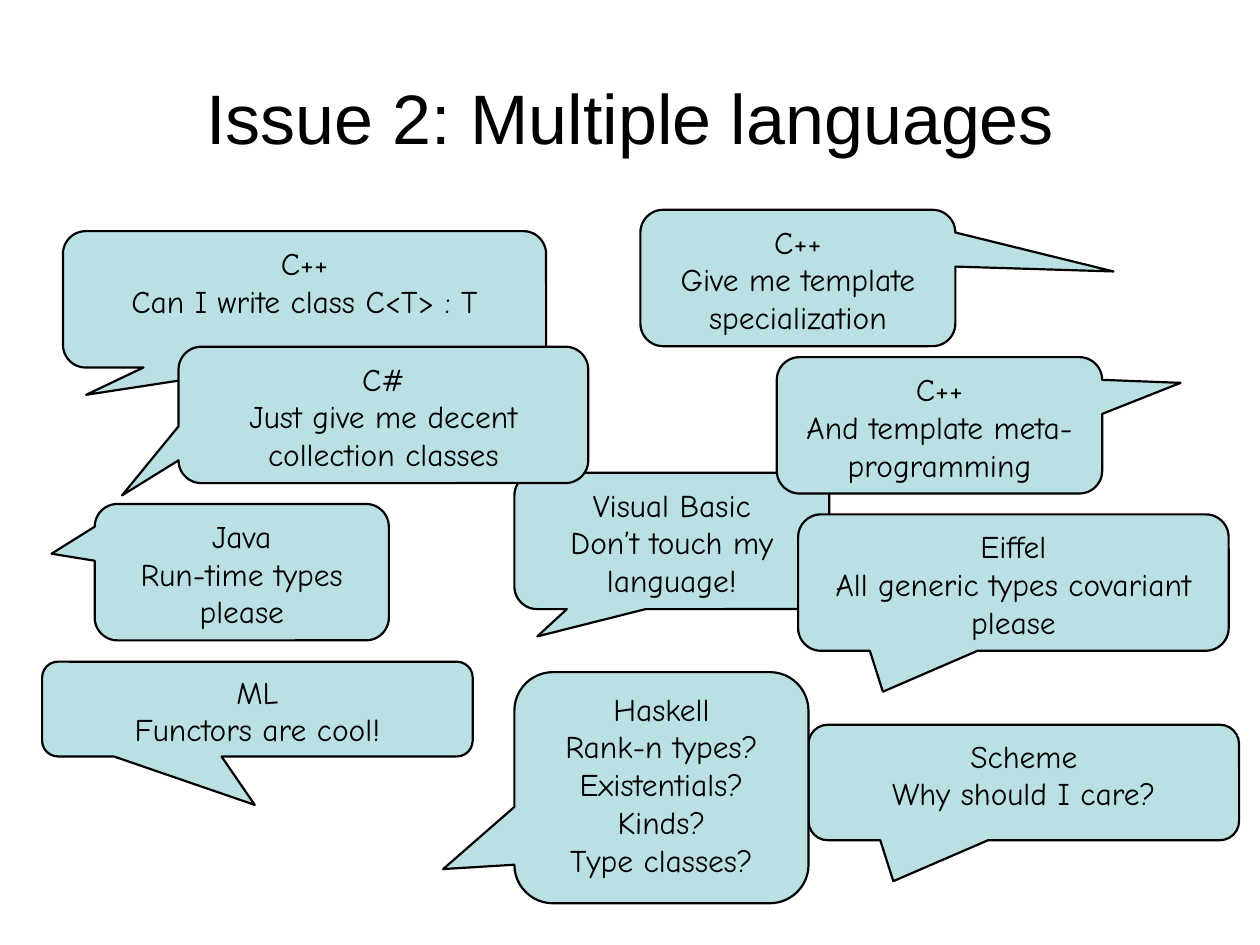
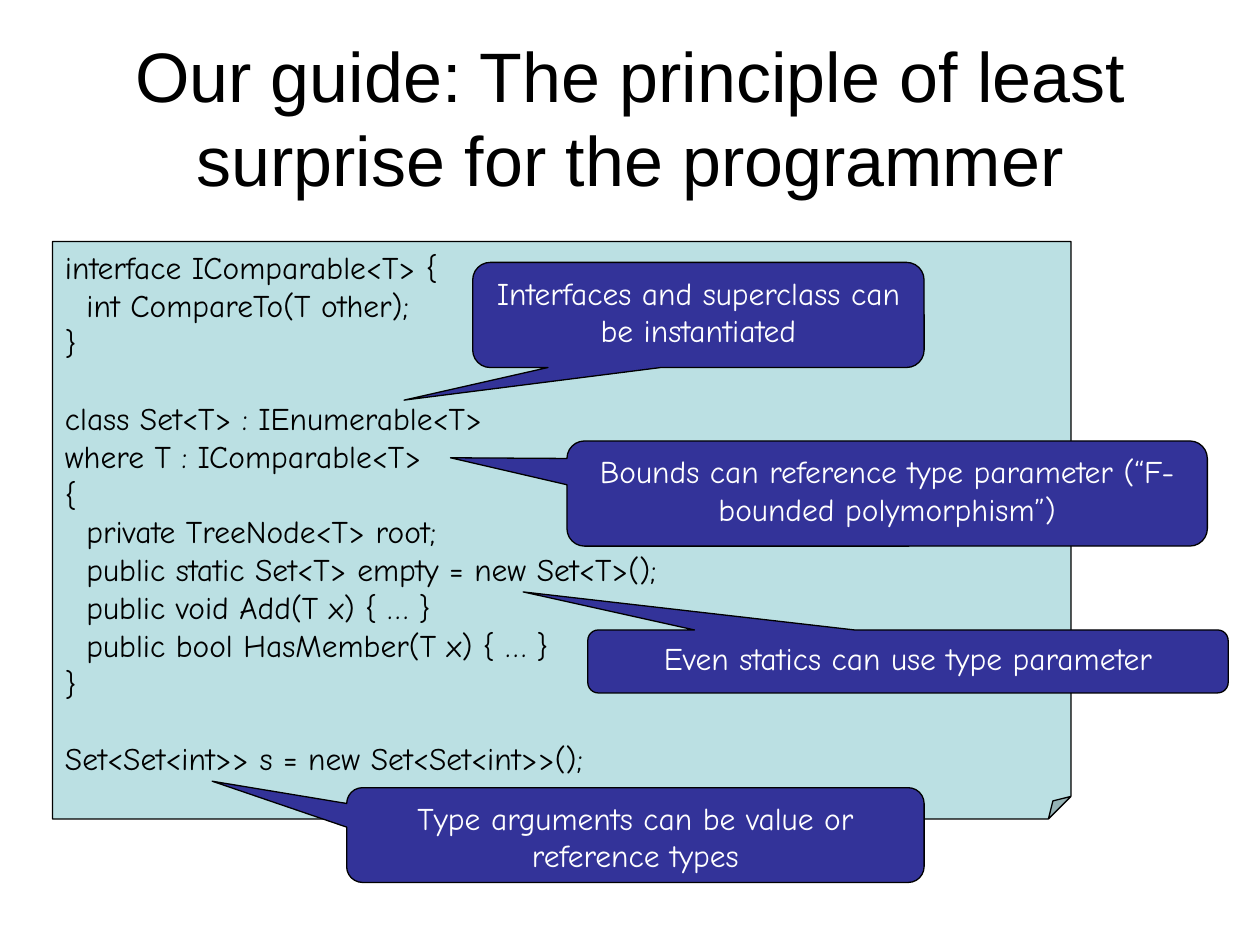
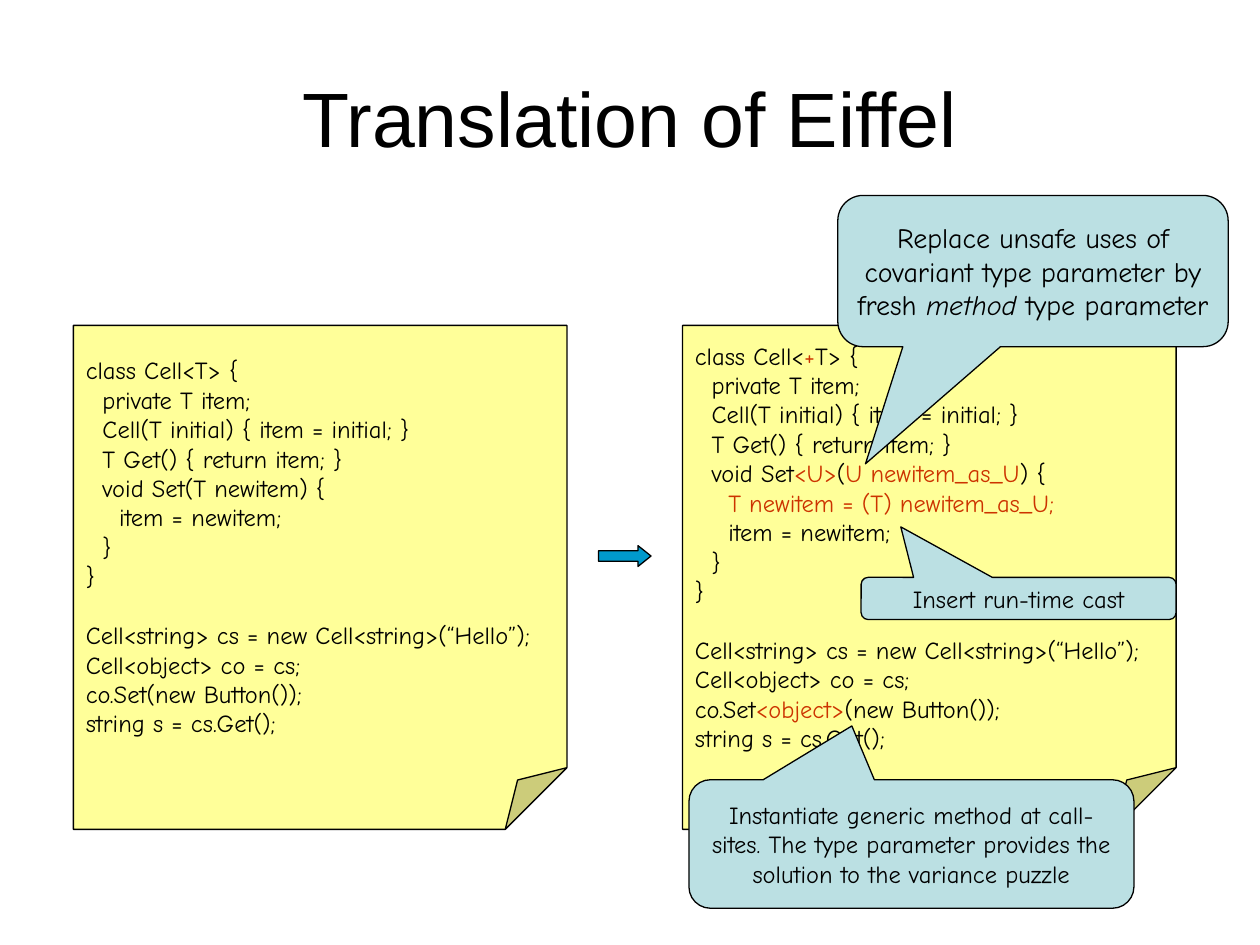
from typing import NamedTuple

from lxml import etree
from pptx import Presentation
from pptx.dml.color import RGBColor
from pptx.enum.shapes import MSO_SHAPE
from pptx.enum.text import MSO_ANCHOR, MSO_AUTO_SIZE, PP_ALIGN
from pptx.oxml.ns import qn
from pptx.util import Cm, Pt

CALLOUT = MSO_SHAPE.ROUNDED_RECTANGULAR_CALLOUT
NOTE = MSO_SHAPE.FOLDED_CORNER
ARROW = MSO_SHAPE.RIGHT_ARROW
TOP, MIDDLE = MSO_ANCHOR.TOP, MSO_ANCHOR.MIDDLE
LEFT, CENTER = PP_ALIGN.LEFT, PP_ALIGN.CENTER
NO_AUTOFIT = MSO_AUTO_SIZE.NONE

BLACK = RGBColor(0x00, 0x00, 0x00)
WHITE = RGBColor(0xFF, 0xFF, 0xFF)
PALE_TEAL = RGBColor(0xBB, 0xE0, 0xE3)
INDIGO = RGBColor(0x33, 0x33, 0x99)
YELLOW = RGBColor(0xFF, 0xFF, 0x99)
BLUE = RGBColor(0x00, 0x99, 0xCC)
RED = RGBColor(0xCC, 0x33, 0x00)

TITLE_FONT = "Arial"
BODY_FONT = "Comic Neue"
TITLE_ONLY = 5
LINE_HEIGHT = 1.2
INDENT_PER_POINT = 0.012
CORNER = 0.167


class Box(NamedTuple):
    left: float
    top: float
    width: float
    height: float

    def inside(self, left, top, width, height):
        return Box(self.left + left, self.top + top, width, height)

    def lengths(self):
        return [Cm(value) for value in self]


TITLE_BOX = Box(1.27, 0.76, 22.86, 3.18)
OPINIONS_BOX = Box(0.85, 4.23, 24.13, 13.98)
GENERICS_BOX = Box(1.06, 4.87, 20.53, 11.64)
TRANSLATION_BOX = Box(1.48, 6.56, 22.23, 10.16)

OPINIONS = [
    ((0.42, 0.43, 9.74, 2.75), (-0.452, 0.7), "C++\nCan I write class C<T> : T"),
    ((0, 9.11, 8.68, 1.91), (-0.006, 1.012), "ML\nFunctors are cool!"),
    ((9.52, 5.3, 6.35, 2.75), (-0.427, 0.7), "Visual Basic\nDon’t touch my language!"),
    ((12.06, 0, 6.35, 2.75), (1.002, -0.048), "C++\nGive me template specialization"),
    ((14.81, 2.97, 6.56, 2.75), (0.741, -0.311), "C++\nAnd template meta-programming"),
    ((1.06, 5.93, 5.93, 2.75), (-0.647, -0.135), "Java\nRun-time types please"),
    ((15.45, 10.38, 8.68, 2.33), (-0.303, 0.854), "Scheme\nWhy should I care?"),
    ((2.75, 2.76, 8.26, 2.75), (-0.638, 0.59), "C#\nJust give me decent collection classes"),
    ((9.52, 9.32, 5.93, 4.66), (-0.742, 0.352),
     "Haskell\nRank-n types? Existentials?\nKinds?\nType classes?"),
    ((15.24, 6.14, 8.68, 2.75), (-0.303, 0.8), "Eiffel\nAll generic types covariant please"),
]

GENERIC_SET_CODE = """interface IComparable<T> {
  int CompareTo(T other);
}

class Set<T> : IEnumerable<T>
where T : IComparable<T>
{
  private TreeNode<T> root;
  public static Set<T> empty = new Set<T>();
  public void Add(T x) { … }
  public bool HasMember(T x) { … }
}

Set<Set<int>> s = new Set<Set<int>>();"""

GENERICS_REMARKS = [
    ((5.93, 11.01, 11.64, 1.91), (-0.733, -0.569), "Type arguments can be value or reference types"),
    ((10.79, 7.83, 12.91, 1.27), (-0.601, -1.104), "Even statics can use type parameter"),
    ((10.37, 4.02, 12.91, 2.12), (-0.682, -0.34),
     "Bounds can reference type parameter (“F-bounded polymorphism”)"),
    ((8.47, 0.42, 9.1, 2.12), (-0.652, 0.81), "Interfaces and superclass can be instantiated"),
]

EIFFEL_CODE = """class Cell<T> {
  private T item;
  Cell(T initial) { item = initial; }
  T Get() { return item; }
  void Set(T newitem) {
    item = newitem;
  }
}

Cell<string> cs = new Cell<string>(“Hello”);
Cell<object> co = cs;
co.Set(new Button());
string s = cs.Get();"""

TRANSLATED_CODE = """class Cell<|+|T> {
  private T item;
  Cell(T initial) { item = initial; }
  T Get() { return item; }
  void Set|<U>|(|U newitem_as_U|) {
    |T newitem = (T) newitem_as_U;|
    item = newitem;
  }
}

Cell<string> cs = new Cell<string>(“Hello”);
Cell<object> co = cs;
co.Set|<object>|(new Button());
string s = cs.Get();"""

TRANSLATION_REMARKS = [
    ((15.41, -2.62, 7.87, 3.05), (-0.429, 1.274), 16,
     "Replace unsafe uses of covariant type parameter by fresh |method| type parameter"),
    ((15.88, 5.08, 6.35, 0.85), (-0.374, -1.698), 14, "Insert run-time cast"),
    ((12.41, 9.16, 8.97, 2.59), (-0.134, -0.919), 14,
     "Instantiate generic method at call-sites. The type parameter provides "
     "the solution to the variance puzzle"),
]


def write_text(shape, text, size=18, font=BODY_FONT, color=BLACK, align=CENTER,
               anchor=TOP, marked_color=None, marked_italic=False):
    frame = shape.text_frame
    frame.word_wrap = True
    frame.auto_size = NO_AUTOFIT
    frame.vertical_anchor = anchor
    paragraph = frame.paragraphs[0]
    gap = 0
    for number, line in enumerate(text.split("\n")):
        if not line:
            gap = size * LINE_HEIGHT
            continue
        if number:
            paragraph = frame.add_paragraph()
        paragraph.alignment = align
        paragraph.space_before = Pt(gap)
        gap = 0
        content = line.lstrip()
        indent = (len(line) - len(content)) * size * INDENT_PER_POINT
        properties = paragraph._p.get_or_add_pPr()
        properties.set("marL", str(int(Cm(indent))))
        properties.set("indent", "0")
        for index, part in enumerate(content.split("|")):
            if not part:
                continue
            marked = index % 2 == 1
            run = paragraph.add_run()
            run.text = part
            run.font.name = font
            run.font.size = Pt(size)
            run.font.italic = marked and marked_italic
            run.font.color.rgb = marked_color if marked and marked_color else color


def set_adjustments(shape, adjustments):
    guides = next(shape._element.iter(qn("a:avLst")))
    for guide in list(guides):
        guides.remove(guide)
    for number, value in enumerate(adjustments, 1):
        guide = etree.SubElement(guides, qn("a:gd"))
        guide.set("name", f"adj{number}" if len(adjustments) > 1 else "adj")
        guide.set("fmla", f"val {round(value * 100000)}")


def add_outlined(slide, kind, box, fill, adjustments, line_width=0.75):
    shape = slide.shapes.add_shape(kind, *box.lengths())
    shape.shadow.inherit = False
    shape.fill.solid()
    shape.fill.fore_color.rgb = fill
    shape.line.color.rgb = BLACK
    shape.line.width = Pt(line_width)
    set_adjustments(shape, adjustments)
    return shape


def add_callout(slide, box, tip, text, fill=PALE_TEAL, line_width=0.75, **text_format):
    shape = add_outlined(slide, CALLOUT, box, fill, (*tip, CORNER), line_width)
    write_text(shape, text, **text_format)


def add_code_note(slide, box, code, fill, fold, **text_format):
    shape = add_outlined(slide, NOTE, box, fill, [fold])
    write_text(shape, code, align=LEFT, **text_format)


def add_titled_slide(presentation, title, size=40):
    slide = presentation.slides.add_slide(presentation.slide_layouts[TITLE_ONLY])
    shape = slide.shapes.title
    shape.left, shape.top, shape.width, shape.height = TITLE_BOX.lengths()
    write_text(shape, title, size=size, font=TITLE_FONT, anchor=MIDDLE)
    return slide


def add_opinions(slide, area):
    for place, tip, text in OPINIONS:
        add_callout(slide, area.inside(*place), tip, text, line_width=1.25)


def add_generics(slide, area):
    add_code_note(slide, area, GENERIC_SET_CODE, PALE_TEAL, 0.039)
    for place, tip, text in GENERICS_REMARKS:
        add_callout(slide, area.inside(*place), tip, text, fill=INDIGO, color=WHITE)


def add_translation(slide, area):
    note_width = 9.95
    arrow_width = 1.06
    for left, code in ((0, EIFFEL_CODE), (area.width - note_width, TRANSLATED_CODE)):
        add_code_note(slide, area.inside(left, 0, note_width, area.height), code,
                      YELLOW, 0.125, size=14, anchor=MIDDLE, marked_color=RED)
    arrow_box = area.inside((area.width - arrow_width) / 2, 4.44, arrow_width, 0.42)
    add_outlined(slide, ARROW, arrow_box, BLUE, (0.5, 0.625))
    for place, tip, size, text in TRANSLATION_REMARKS:
        add_callout(slide, area.inside(*place), tip, text, size=size,
                    anchor=MIDDLE, marked_italic=True)


def main():
    presentation = Presentation()
    presentation.slide_width = Cm(25.4)
    presentation.slide_height = Cm(19.05)
    add_opinions(add_titled_slide(presentation, "Issue 2: Multiple languages"), OPINIONS_BOX)
    add_generics(
        add_titled_slide(presentation, "Our guide: The principle of least surprise for the programmer"),
        GENERICS_BOX)
    add_translation(add_titled_slide(presentation, "Translation of Eiffel", size=44), TRANSLATION_BOX)
    presentation.save("out.pptx")


if __name__ == "__main__":
    main()
